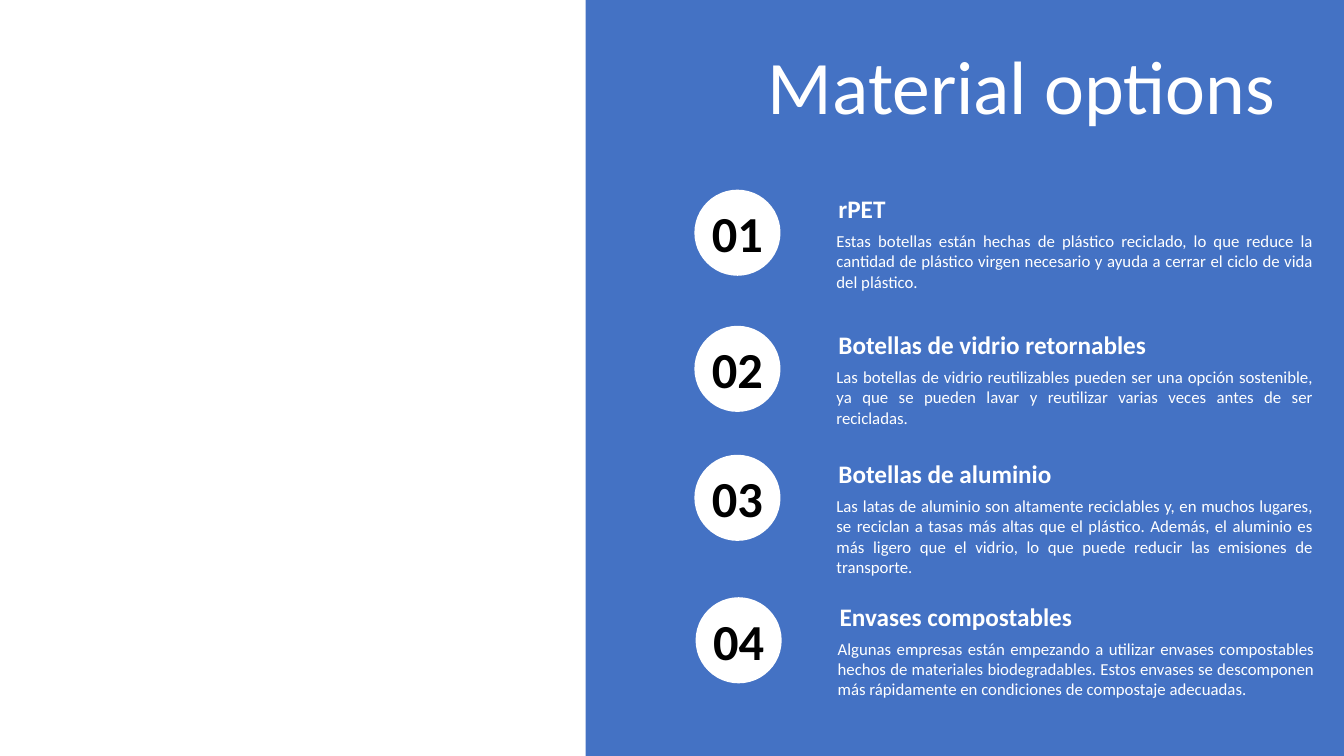
from pptx import Presentation
from pptx.dml.color import RGBColor
from pptx.enum.shapes import MSO_SHAPE
from pptx.enum.text import MSO_ANCHOR, MSO_AUTO_SIZE, PP_ALIGN
from pptx.util import Cm, Pt

FONT = "Calibri"
BLUE, WHITE, BLACK = "4472C4", "FFFFFF", "000000"
PAGE_WIDTH, PAGE_HEIGHT = 33.87, 19.05
PANEL_LEFT = 14.76
OPTION_WIDTH = 16.1

# left, top, heading, description, number of description lines
OPTIONS = [
    (17.25, 4.75, "rPET",
     "Estas botellas están hechas de plástico reciclado, lo que reduce la "
     "cantidad de plástico virgen necesario y ayuda a cerrar el ciclo de vida "
     "del plástico.", 3),
    (17.25, 8.18, "Botellas de vidrio retornables",
     "Las botellas de vidrio reutilizables pueden ser una opción sostenible, "
     "ya que se pueden lavar y reutilizar varias veces antes de ser "
     "recicladas.", 3),
    (17.25, 11.43, "Botellas de aluminio",
     "Las latas de aluminio son altamente reciclables y, en muchos lugares, "
     "se reciclan a tasas más altas que el plástico. Además, el aluminio es "
     "más ligero que el vidrio, lo que puede reducir las emisiones de "
     "transporte.", 4),
    (17.28, 15.02, "Envases compostables",
     "Algunas empresas están empezando a utilizar envases compostables hechos "
     "de materiales biodegradables. Estos envases se descomponen más "
     "rápidamente en condiciones de compostaje adecuadas.", 3),
]


def color(value):
    return RGBColor.from_string(value)


def add_filled_shape(shapes, kind, left, top, width, height, fill):
    shape = shapes.add_shape(kind, Cm(left), Cm(top), Cm(width), Cm(height))
    shape.shadow.inherit = False
    shape.fill.solid()
    shape.fill.fore_color.rgb = color(fill)
    shape.line.fill.background()


def write(frame, text, size, ink, bold=False, align=PP_ALIGN.LEFT):
    para = frame.paragraphs[0]
    para.alignment = align
    span = para.add_run()
    span.text = text
    span.font.name = FONT
    span.font.size = Pt(size)
    span.font.bold = bold
    span.font.color.rgb = color(ink)


def add_text(shapes, left, top, width, height, text, size, ink,
             bold=False, align=PP_ALIGN.LEFT, side_inset=0.3):
    box = shapes.add_textbox(Cm(left), Cm(top), Cm(width), Cm(height))
    frame = box.text_frame
    frame.word_wrap = True
    frame.auto_size = MSO_AUTO_SIZE.SHAPE_TO_FIT_TEXT
    frame.margin_left = frame.margin_right = Cm(side_inset)
    frame.margin_top = frame.margin_bottom = Cm(0.13)
    write(frame, text, size, ink, bold, align)


def add_title(page, left, top, width, height):
    title = page.shapes.title
    title.left, title.top = Cm(left), Cm(top)
    title.width, title.height = Cm(width), Cm(height)
    frame = title.text_frame
    frame.word_wrap = True
    frame.auto_size = MSO_AUTO_SIZE.NONE
    frame.vertical_anchor = MSO_ANCHOR.MIDDLE
    write(frame, "Material options", 54, WHITE)


def add_option(page, left, top, width, number, heading, description, lines):
    """Group a numbered disc with its heading and description."""
    shapes = page.shapes.add_group_shape().shapes
    text_left = left + 3.58
    text_width = width - 3.58
    add_text(shapes, text_left, top + 0.94, text_width, 0.26 + 0.52 * lines,
             description, 12, WHITE, align=PP_ALIGN.JUSTIFY, side_inset=0.25)
    add_text(shapes, text_left, top, text_width, 1.02, heading, 18, WHITE,
             bold=True)
    add_filled_shape(shapes, MSO_SHAPE.OVAL, left + 0.25, top + 0.03,
                     2.17, 2.17, WHITE)
    add_text(shapes, left, top + 0.22, 2.67, 1.8, f"{number:02}", 36, BLACK,
             bold=True, align=PP_ALIGN.CENTER)


def build_materials_page(deck):
    page = deck.slides.add_slide(deck.slide_layouts[5])
    add_filled_shape(page.shapes, MSO_SHAPE.RECTANGLE, PANEL_LEFT, 0,
                     PAGE_WIDTH - PANEL_LEFT, PAGE_HEIGHT, BLUE)
    # The title placeholder comes first, so lift it above the panel
    tree = page.shapes.title.element.getparent()
    tree.append(page.shapes.title.element)
    add_title(page, 19.1, 0.84, PAGE_WIDTH - 19.1, 2.57)
    for number, (left, top, heading, description, lines) in enumerate(OPTIONS, 1):
        add_option(page, left, top, OPTION_WIDTH, number, heading,
                   description, lines)


def main():
    deck = Presentation()
    deck.slide_width, deck.slide_height = Cm(PAGE_WIDTH), Cm(PAGE_HEIGHT)
    build_materials_page(deck)
    deck.save("out.pptx")


if __name__ == "__main__":
    main()
